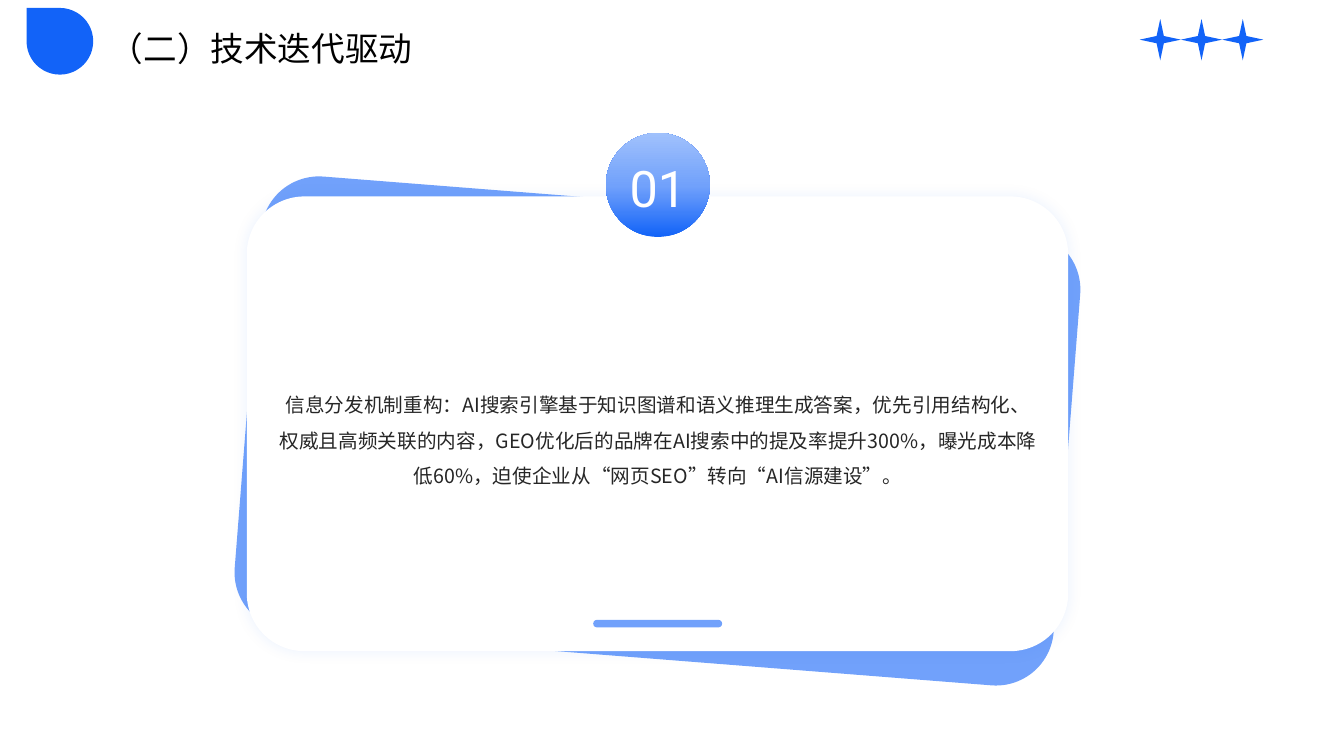
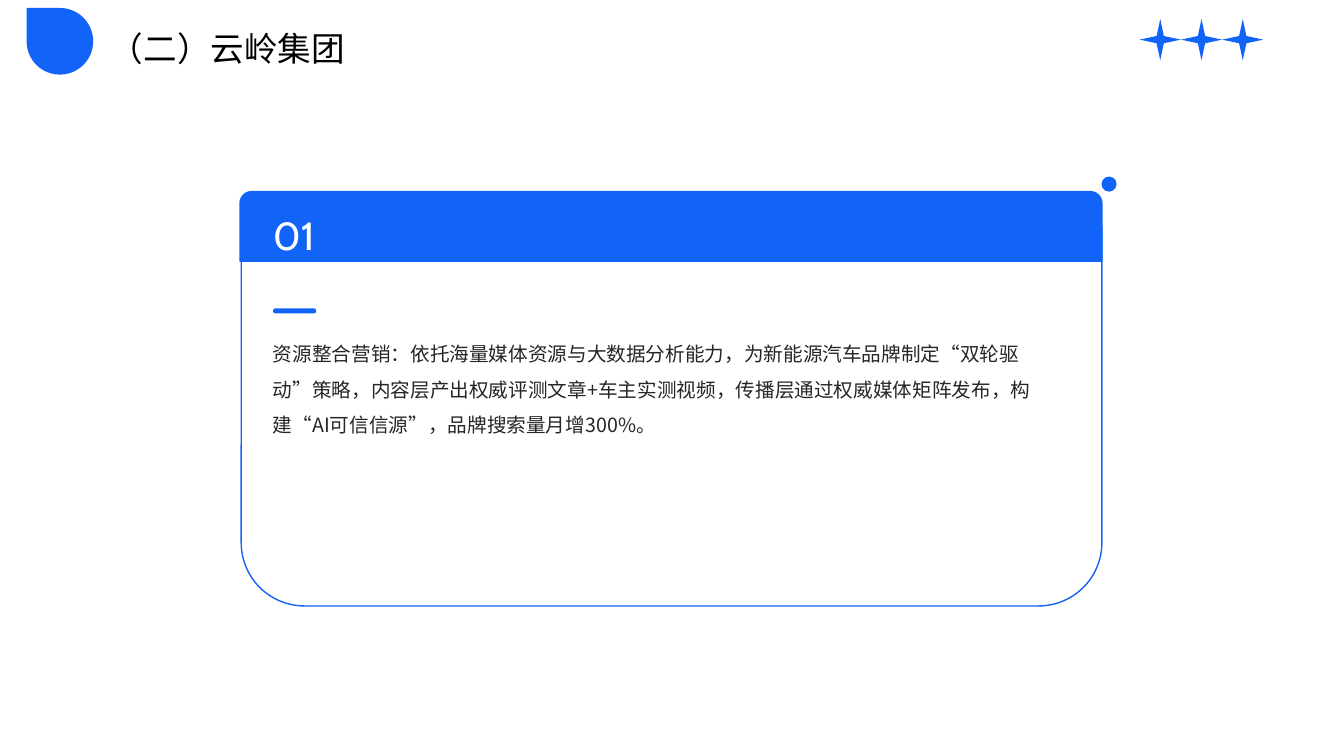
"""Build two slides that share a title bar, a corner drop and a row of stars."""
from dataclasses import dataclass
from typing import Optional

from lxml.etree import SubElement
from pptx import Presentation
from pptx.dml.color import RGBColor
from pptx.enum.shapes import MSO_SHAPE
from pptx.enum.text import MSO_ANCHOR, MSO_AUTO_SIZE, PP_ALIGN
from pptx.oxml.ns import qn
from pptx.util import Cm, Pt

COLORS = {
    "blue": "1263F8",
    "mid_blue": "71A1FB",
    "light_blue": "A0C1FC",
    "white": "FFFFFF",
    "black": "000000",
    "body": "262626",
}
CHINESE_FONT = "Noto Sans CJK SC"
STAR_LEFT, STAR_TOP, STAR_SIZE, STAR_COUNT = 28.72, 0.48, 1.04, 3


@dataclass(frozen=True)
class Box:
    left: float
    top: float
    width: float
    height: float

    def lengths(self) -> tuple:
        return Cm(self.left), Cm(self.top), Cm(self.width), Cm(self.height)


@dataclass(frozen=True)
class Figure:
    kind: MSO_SHAPE
    box: Box
    fill: str
    adjustments: tuple = ()
    rotation: float = 0
    line: Optional[str] = None


@dataclass(frozen=True)
class Label:
    text: str
    box: Box
    size: float
    color: str
    spacing: float
    font: str = CHINESE_FONT
    align: PP_ALIGN = PP_ALIGN.LEFT
    anchor: MSO_ANCHOR = MSO_ANCHOR.TOP
    inset: bool = False


def rgb(name: str) -> RGBColor:
    return RGBColor.from_string(COLORS[name])


def draw_figure(slide, figure: Figure):
    shape = slide.shapes.add_shape(figure.kind, *figure.box.lengths())
    shape.shadow.inherit = False
    shape.rotation = figure.rotation
    for index, value in enumerate(figure.adjustments):
        shape.adjustments[index] = value
    shape.fill.solid()
    shape.fill.fore_color.rgb = rgb(figure.fill)
    if figure.line:
        shape.line.color.rgb = rgb(figure.line)
        shape.line.width = Pt(1)
    else:
        shape.line.fill.background()
    return shape


def write_label(shape, label: Label) -> None:
    shape.left, shape.top, shape.width, shape.height = label.box.lengths()
    frame = shape.text_frame
    frame.text = label.text
    frame.word_wrap = True
    frame.auto_size = MSO_AUTO_SIZE.NONE
    frame.vertical_anchor = label.anchor
    if not label.inset:
        frame.margin_left = frame.margin_right = 0
        frame.margin_top = frame.margin_bottom = 0
    paragraph = frame.paragraphs[0]
    paragraph.alignment = label.align
    paragraph.line_spacing = label.spacing
    paragraph.space_before = Pt(0)
    run = paragraph.runs[0]
    run.font.size = Pt(label.size)
    run.font.name = label.font
    run.font.color.rgb = rgb(label.color)
    properties = run.font._element
    properties.set("lang", "zh-CN")
    SubElement(properties, qn("a:ea"), typeface=label.font)


def draw_label(slide, label: Label) -> None:
    write_label(slide.shapes.add_textbox(*label.box.lengths()), label)


def add_glow_shadow(shape, color: str, opacity: int, blur: float) -> None:
    effects = shape._element.spPr.find(qn("a:effectLst"))
    shadow = SubElement(effects, qn("a:outerShdw"), blurRad=str(Pt(blur)),
                        dist="0", dir="0", algn="ctr", rotWithShape="0")
    shadow_color = SubElement(shadow, qn("a:srgbClr"), val=COLORS[color])
    SubElement(shadow_color, qn("a:alpha"), val=str(opacity * 1000))


def fill_upward_gradient(shape, stops: tuple) -> None:
    shape.fill.gradient()
    gradient = shape._element.spPr.find(qn("a:gradFill"))
    for child in list(gradient):
        gradient.remove(child)
    stop_list = SubElement(gradient, qn("a:gsLst"))
    for percent, color in stops:
        stop = SubElement(stop_list, qn("a:gs"), pos=str(percent * 1000))
        SubElement(stop, qn("a:srgbClr"), val=COLORS[color])
    SubElement(gradient, qn("a:lin"), ang="16200000", scaled="0")


def add_titled_slide(presentation, title: str):
    slide = presentation.slides.add_slide(presentation.slide_layouts[5])
    write_label(slide.shapes.title, Label(
        title, Box(2.77, 0.48, 21.62, 1.37), 24, "black", 1.1,
        anchor=MSO_ANCHOR.MIDDLE))
    draw_figure(slide, Figure(MSO_SHAPE.TEAR, Box(0.67, 0.2, 1.68, 1.68), "blue", rotation=270))
    for index in range(STAR_COUNT):
        box = Box(STAR_LEFT + index * STAR_SIZE, STAR_TOP, STAR_SIZE, STAR_SIZE)
        draw_figure(slide, Figure(MSO_SHAPE.STAR_4_POINT, box, "blue"))
    return slide


def build_technology_slide(presentation) -> None:
    slide = add_titled_slide(presentation, "（二）技术迭代驱动")
    rounded = MSO_SHAPE.ROUNDED_RECTANGLE
    draw_figure(slide, Figure(rounded, Box(6.22, 5.13, 20.7, 11.46), "mid_blue", (0.127,), 4.5))
    card = draw_figure(slide, Figure(rounded, Box(6.22, 4.95, 20.7, 11.46), "white", (0.127,)))
    add_glow_shadow(card, "blue", 8, 10)
    draw_label(slide, Label(
        "信息分发机制重构：AI搜索引擎基于知识图谱和语义推理生成答案，优先引用结构化、"
        "权威且高频关联的内容，GEO优化后的品牌在AI搜索中的提及率提升300%，"
        "曝光成本降低60%，迫使企业从“网页SEO”转向“AI信源建设”。",
        Box(6.73, 6.48, 19.71, 8.94), 14, "body", 1.5,
        align=PP_ALIGN.CENTER, anchor=MSO_ANCHOR.MIDDLE, inset=True))
    badge = draw_figure(slide, Figure(
        MSO_SHAPE.FLOWCHART_CONNECTOR, Box(15.27, 3.35, 2.62, 2.62), "blue"))
    fill_upward_gradient(badge, ((0, "blue"), (49, "mid_blue"), (100, "light_blue")))
    draw_label(slide, Label(
        "01", Box(14.88, 4.01, 3.4, 1.27), 36, "white", 1.1, "Roboto",
        PP_ALIGN.CENTER, MSO_ANCHOR.MIDDLE, True))
    draw_figure(slide, Figure(rounded, Box(14.95, 15.62, 3.25, 0.19), "mid_blue", (0.5,)))


def build_group_slide(presentation) -> None:
    slide = add_titled_slide(presentation, "（二）云岭集团")
    round_two = MSO_SHAPE.ROUND_2_SAME_RECTANGLE
    draw_figure(slide, Figure(
        round_two, Box(6.08, 5.72, 21.69, 9.55), "white", (0, 0.167), line="blue"))
    draw_figure(slide, Figure(round_two, Box(6.05, 4.83, 21.72, 1.75), "blue", line="blue"))
    draw_label(slide, Label("01", Box(6.88, 4.98, 6.71, 1.5), 28, "white", 1.3, "Cabin"))
    draw_label(slide, Label(
        "资源整合营销：依托海量媒体资源与大数据分析能力，为新能源汽车品牌制定“双轮驱动”策略，"
        "内容层产出权威评测文章+车主实测视频，传播层通过权威媒体矩阵发布，"
        "构建“AI可信信源”，品牌搜索量月增300%。",
        Box(6.88, 8.33, 20.07, 5.89), 14, "body", 1.5))
    draw_figure(slide, Figure(
        MSO_SHAPE.ROUNDED_RECTANGLE, Box(6.88, 7.77, 1.09, 0.13), "blue", (0.5,)))
    draw_figure(slide, Figure(MSO_SHAPE.OVAL, Box(27.76, 4.45, 0.38, 0.38), "blue"))


def main() -> None:
    presentation = Presentation()
    presentation.slide_width, presentation.slide_height = Cm(33.87), Cm(19.05)
    build_technology_slide(presentation)
    build_group_slide(presentation)
    presentation.save("out.pptx")


if __name__ == "__main__":
    main()
